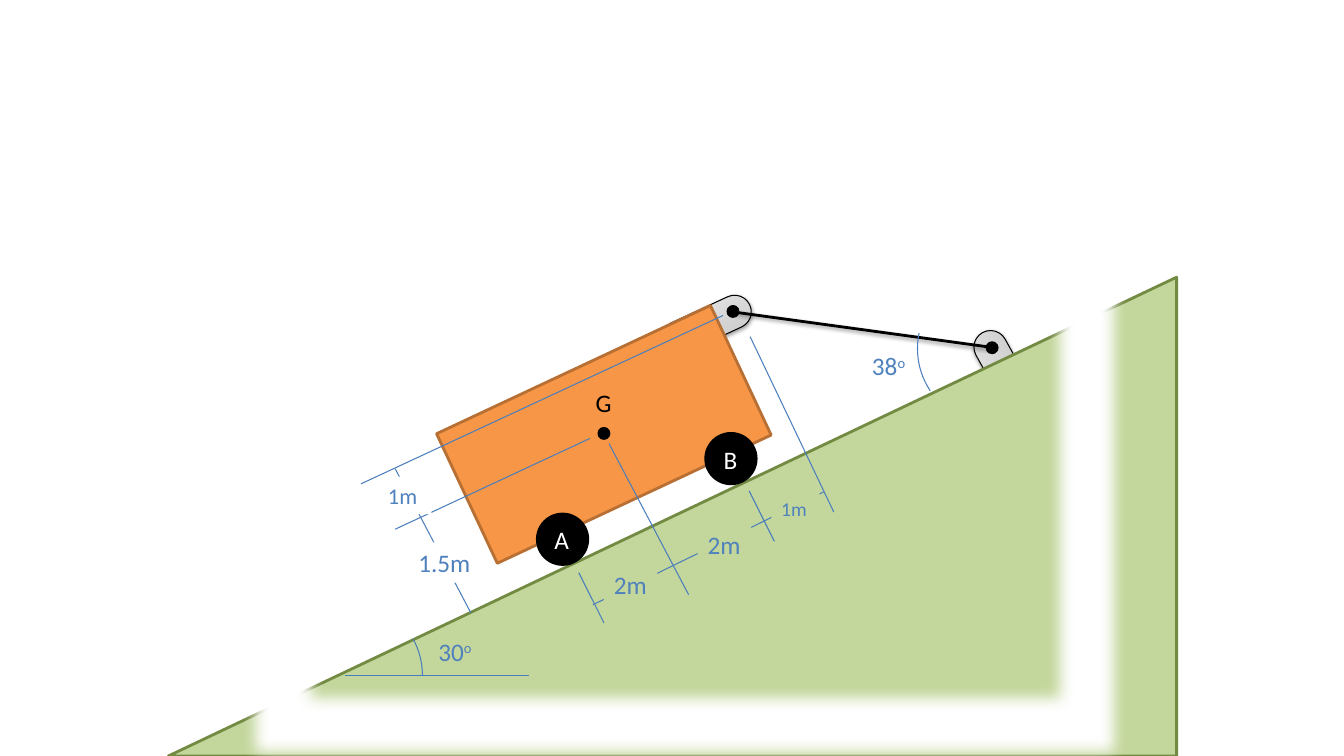
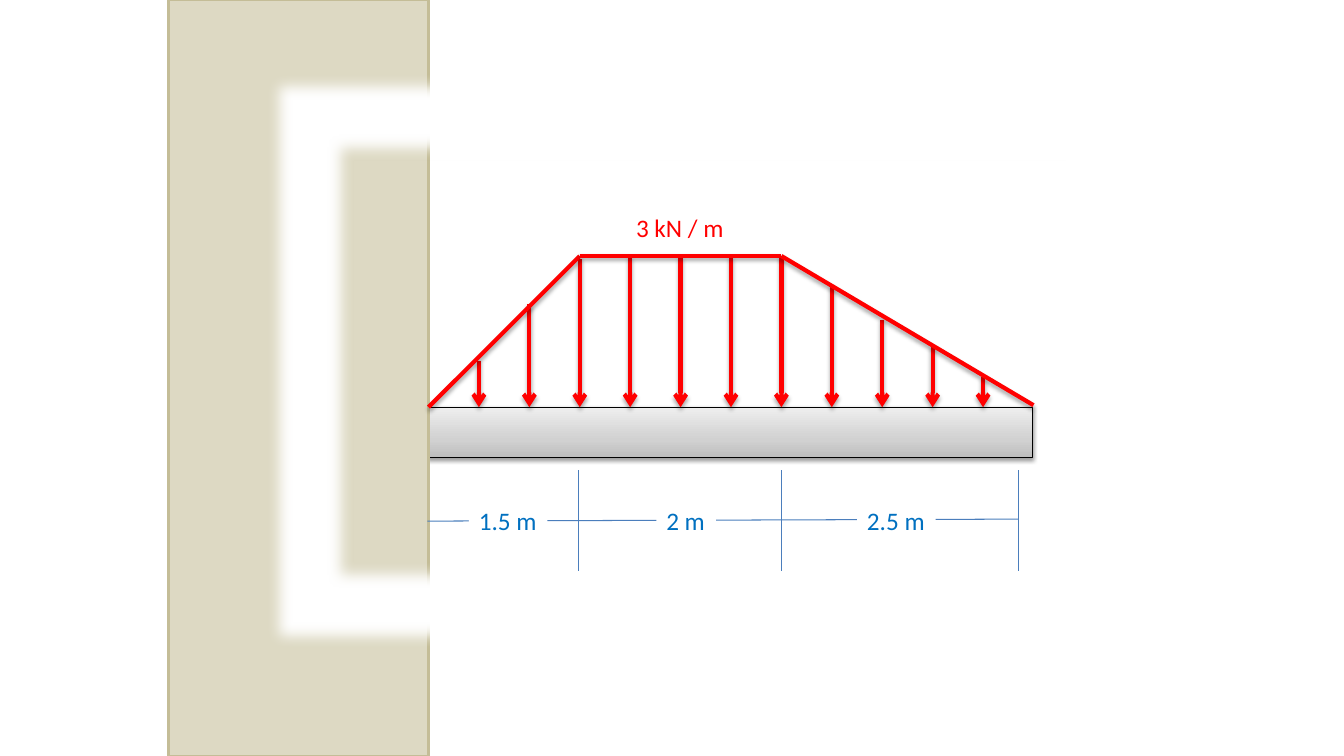
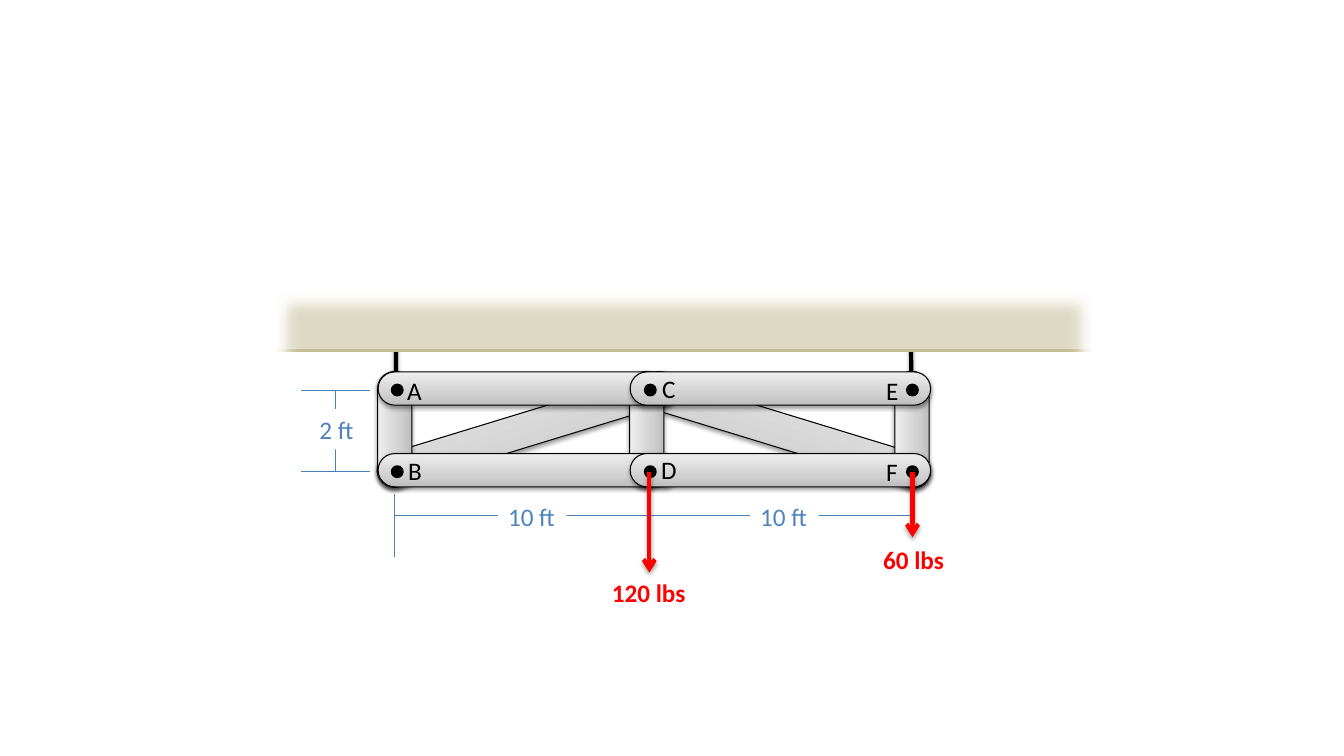
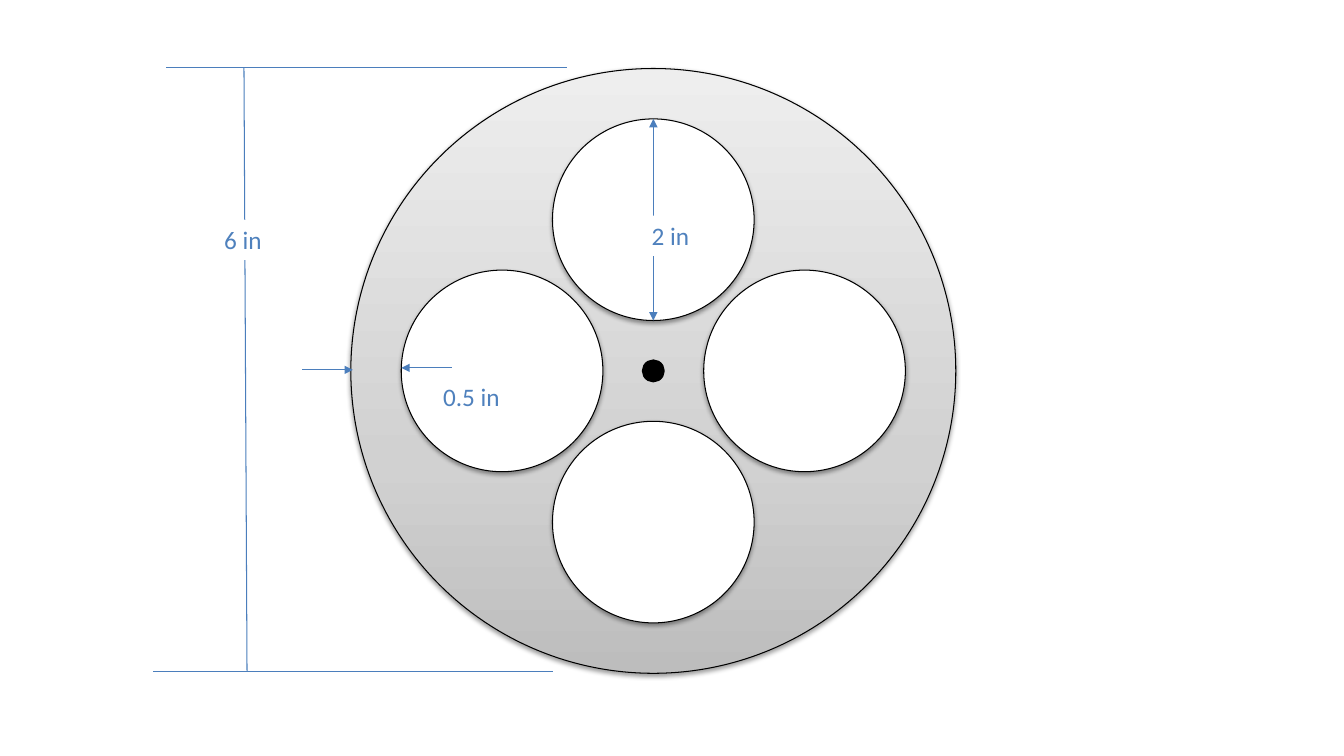
"""Draw four statics problem figures: cart on a slope, loaded beam, truss and disc."""
from copy import deepcopy

from lxml import etree
from pptx import Presentation
from pptx.dml.color import RGBColor
from pptx.enum.shapes import MSO_CONNECTOR, MSO_SHAPE
from pptx.enum.text import MSO_AUTO_SIZE, PP_ALIGN
from pptx.oxml.ns import qn
from pptx.util import Cm, Pt

RECT = MSO_SHAPE.RECTANGLE
ROUND = MSO_SHAPE.ROUNDED_RECTANGLE
OVAL = MSO_SHAPE.OVAL
TRIANGLE = MSO_SHAPE.RIGHT_TRIANGLE
ISOSCELES = MSO_SHAPE.ISOSCELES_TRIANGLE
FRAME = MSO_SHAPE.FRAME
ARC = MSO_SHAPE.ARC
STRAIGHT = MSO_CONNECTOR.STRAIGHT
LEFT = PP_ALIGN.LEFT
CENTER = PP_ALIGN.CENTER
FIT = MSO_AUTO_SIZE.SHAPE_TO_FIT_TEXT

BLACK = "000000"
WHITE = "FFFFFF"
RED = "FF0000"
DIM_LINE = "4B7EBC"
DIM_TEXT = "4F81BD"
BEAM_TEXT = "0070C0"
GRASS = "C3D69B"
GRASS_EDGE = "738A42"
WALL = "DDD9C3"
WALL_EDGE = "C4BD97"
CART = "F79646"
CART_EDGE = "B76F34"
STEEL = [(0, "BDBDBD"), (0.35, "D1D1D1"), (1, "EEEEEE")]

THIN = 0.75
EDGE = 2
BOLD = 3
SOFT_EDGE = Pt(10)
SHAPE_SHADOW = {"alpha": 38, "dist": 1.6}
FORCE_SHADOW = {"alpha": 35, "dist": 1.8}


def cm(inches):
    """Return a length in centimetres for a drawing measure in inches."""
    return Cm(inches * 2.54)


def rgb(value):
    """Return the colour of a hex string."""
    return RGBColor.from_string(value)


def add_effects(sp, shadow=None, soft=False):
    """Replace the theme effects with an optional drop shadow or soft edge."""
    effects = etree.SubElement(sp._element.spPr, qn("a:effectLst"))
    if shadow:
        drop = etree.SubElement(effects, qn("a:outerShdw"), blurRad=str(Pt(3.1)),
                                dist=str(Pt(shadow["dist"])), dir="5400000", rotWithShape="0")
        color = etree.SubElement(drop, qn("a:srgbClr"), val=BLACK)
        etree.SubElement(color, qn("a:alpha"), val=str(shadow["alpha"] * 1000))
    if soft:
        etree.SubElement(effects, qn("a:softEdge"), rad=str(SOFT_EDGE))


def fill_steel(sp):
    """Fill a shape with the grey metal gradient."""
    sp.fill.gradient()
    sp.fill.gradient_angle = 90
    stops = sp._element.spPr.find(".//" + qn("a:gsLst"))
    stops.append(deepcopy(stops[0]))
    for stop, (position, color) in zip(sp.fill.gradient_stops, STEEL):
        stop.position = position
        stop.color.rgb = rgb(color)


def add_shape(s, kind, box, fill, line, width=EDGE, rot=0, adj=(), shadow=None, soft=False):
    """Add a preset shape; fill is a hex string, STEEL or None."""
    sp = s.shapes.add_shape(kind, *map(cm, box))
    sp.rotation = rot
    for i, value in enumerate(adj):
        sp.adjustments[i] = value
    if fill is STEEL:
        fill_steel(sp)
    elif fill:
        sp.fill.solid()
        sp.fill.fore_color.rgb = rgb(fill)
    else:
        sp.fill.background()
    sp.line.color.rgb = rgb(line)
    sp.line.width = Pt(width)
    add_effects(sp, shadow, soft)


def add_bar(s, box, rot=0):
    """Add a round-ended metal bar."""
    add_shape(s, ROUND, box, STEEL, BLACK, THIN, rot, [0.5], SHAPE_SHADOW)


def add_disc(s, x, y, size):
    """Add a solid black disc."""
    add_shape(s, OVAL, (x, y, size, size), BLACK, BLACK)


def add_soft_frame(s, box, thickness):
    """Add a white frame that fades out the edges of the ground."""
    add_shape(s, FRAME, box, WHITE, WHITE, adj=[thickness], soft=True)


def add_arc(s, x, y, start, end):
    """Add an angle mark between two directions in degrees."""
    add_shape(s, ARC, (x, y, 1.5, 1.5), None, DIM_LINE, THIN, adj=[start * 0.6, end * 0.6])


def add_line(s, ends, color=DIM_LINE, width=THIN, head=None, tail=None, shadow=None):
    """Add a straight line with optional arrowheads."""
    sp = s.shapes.add_connector(STRAIGHT, *map(cm, ends))
    sp.line.color.rgb = rgb(color)
    sp.line.width = Pt(width)
    for tag, kind in (("a:headEnd", head), ("a:tailEnd", tail)):
        if kind:
            etree.SubElement(sp.line._get_or_add_ln(), qn(tag), type=kind)
    add_effects(sp, shadow)


def add_force(s, ends, tail="arrow"):
    """Add a thick red load line, an arrow by default."""
    add_line(s, ends, RED, BOLD, tail=tail, shadow=FORCE_SHADOW)


def add_label(s, text, box, color=DIM_TEXT, fill=None, size=18, bold=None, wrap=False,
              align=LEFT, raised=""):
    """Add a one-line label with an optional raised ending."""
    sp = s.shapes.add_textbox(*map(cm, box))
    if fill:
        sp.fill.solid()
        sp.fill.fore_color.rgb = rgb(fill)
    tf = sp.text_frame
    tf.word_wrap = wrap
    tf.auto_size = FIT
    p = tf.paragraphs[0]
    p.alignment = align
    font_format = {"name": "Calibri", "size": Pt(size), "bold": bold}
    for part in filter(None, (text, raised)):
        r = p.add_run()
        r.text = part
        for name, value in font_format.items():
            setattr(r.font, name, value)
        r.font.color.rgb = rgb(color)
        if part == raised:
            r._r.get_or_add_rPr().set("baseline", "30000")


def draw_cart(prs):
    """Draw the cart held by a cable on a slope."""
    s = prs.slides.add_slide(prs.slide_layouts[6])
    add_bar(s, (6.53, 3.06, 0.95, 0.33), 335.1)
    add_bar(s, (9.5, 3.55, 0.95, 0.33), 241)
    add_shape(s, ISOSCELES, (1.67, 2.75, 10, 4.75), GRASS, GRASS_EDGE, adj=[1])
    add_shape(s, RECT, (4.49, 3.6, 3, 1.42), CART, CART_EDGE, rot=334.9)
    for x, y in ((5.33, 5.1), (7, 4.3)):
        add_disc(s, x, y, 0.5)
    add_line(s, (7.31, 3.1, 9.79, 3.44), BLACK, EDGE, shadow=SHAPE_SHADOW)
    for x, y in ((5.94, 4.25), (9.79, 3.4), (7.22, 3.04)):
        add_disc(s, x, y, 0.1)
    add_label(s, "G", (5.81, 3.79, 0.36, 0.4), BLACK)

    add_arc(s, 9.1, 2.71, 146.14, 191.94)
    add_label(s, "38", (8.55, 3.43, 0.55, 0.4), raised="o")
    for ends in ((5.74, 5.68, 5.99, 6.18), (7.43, 4.87, 7.68, 5.37), (7.44, 3.34, 8.27, 5.08),
                 (6.04, 4.4, 6.83, 5.9), (8.17, 4.88, 5.88, 6)):
        add_line(s, ends)
    for x, y in ((5.99, 5.6), (6.92, 5.2)):
        add_label(s, "2m", (x, y, 0.53, 0.4), fill=GRASS)
    add_label(s, "1m", (7.65, 4.88, 0.48, 0.34), fill=GRASS, size=14, wrap=True)

    add_line(s, (3.42, 6.7, 5.25, 6.7))
    add_arc(s, 2.69, 5.95, 331.33, 359.97)
    add_label(s, "30", (4.25, 6.26, 0.55, 0.4), raised="o")
    add_line(s, (5.85, 4.35, 3.92, 5.25))
    add_line(s, (3.92, 4.65, 4.67, 6.08))
    add_label(s, "1.5m", (4.05, 5.38, 0.72, 0.4), fill=WHITE)
    add_soft_frame(s, (2.42, 1, 8.75, 6.58), 0.118)
    add_line(s, (7.17, 3.13, 3.58, 4.8))
    add_label(s, "1m", (3.75, 4.73, 0.53, 0.37), fill=WHITE, size=16, wrap=True)
    add_label(s, "A", (5.4, 5.15, 0.35, 0.4), WHITE)
    add_label(s, "B", (7.08, 4.36, 0.34, 0.4), WHITE)


def draw_beam(prs):
    """Draw the wall-mounted beam under a distributed load."""
    s = prs.slides.add_slide(prs.slide_layouts[6])
    add_shape(s, RECT, (4.24, 4.04, 6, 0.5), STEEL, BLACK, THIN, shadow=SHAPE_SHADOW)
    add_shape(s, RECT, (1.67, 0, 2.58, 7.5), WALL, WALL_EDGE)
    add_soft_frame(s, (2.67, 0.75, 8.75, 5.67), 0.146)

    arrow_tops = (3.58, 3.02, 2.57, 2.54, 2.54, 2.54, 2.54, 2.83, 3.17, 3.43, 3.74)
    for i, top in enumerate(arrow_tops):
        x = 4.75 + 0.5 * i
        add_force(s, (x, top, x, 4.04))
    for ends in ((5.75, 2.54, 4.25, 4.04), (5.75, 2.54, 7.75, 2.54), (7.75, 2.54, 10.25, 4.02)):
        add_force(s, ends, tail=None)
    add_label(s, "3 kN / m", (6.21, 2.06, 1.08, 0.4), RED)

    add_line(s, (4.24, 5.17, 10.1, 5.15))
    for x in (5.74, 7.75, 10.1):
        add_line(s, (x, 5.66, x, 4.66))
    for text, x, w in (("1.5 m", 4.65, 0.78), ("2 m", 6.51, 0.59), ("2.5 m", 8.5, 0.78)):
        add_label(s, text, (x, 4.96, w, 0.4), BEAM_TEXT, WHITE)


def draw_truss(prs):
    """Draw the hanging truss with its two loads."""
    s = prs.slides.add_slide(prs.slide_layouts[6])
    for ends in ((9.03, 2.87, 9.04, 3.87), (3.92, 2.82, 3.93, 3.82)):
        add_line(s, ends, BLACK, BOLD, shadow=FORCE_SHADOW)
    add_line(s, (3.92, 5.11, 9.06, 5.11))
    add_bar(s, (6.2, 4.1, 3.09, 0.34), 17)
    add_bar(s, (3.68, 4.09, 3.09, 0.34), 343)
    for x in (5.84, 8.47, 3.34):
        add_bar(s, (x, 4.09, 1.15, 0.34), 270)
    add_shape(s, RECT, (2.42, 2.47, 8.58, 1.01), WALL, WALL_EDGE)
    add_soft_frame(s, (2, 2.17, 9.58, 7), 0.137)
    for x in (3.75, 6.25):
        for y in (4.5, 3.69):
            add_bar(s, (x, y, 2.98, 0.33))

    for x in (3.89, 6.4, 9):
        for y in (3.82, 4.63):
            add_disc(s, x, y, 0.1)
    for name, x, y in (("A", 3.94, 3.67), ("B", 3.95, 4.47), ("C", 6.47, 3.65),
                       ("D", 6.46, 4.46), ("E", 8.69, 3.67), ("F", 8.69, 4.48)):
        add_label(s, name, (x, y, 0.34, 0.4), BLACK)

    add_line(s, (3.91, 4.9, 3.91, 5.53))
    for x in (4.94, 7.44):
        add_label(s, "10 ft", (x, 4.92, 0.68, 0.4), fill=WHITE)
    for y in (4.68, 3.87):
        add_line(s, (3.67, y, 2.99, y))
    add_line(s, (3.33, 4.68, 3.33, 3.87))
    add_label(s, "2 ft", (3.07, 4.06, 0.55, 0.4), fill=WHITE)

    add_force(s, (6.44, 4.68, 6.44, 5.68))
    add_force(s, (9.05, 4.68, 9.05, 5.33))
    add_label(s, "120 lbs", (5.97, 5.68, 0.94, 0.4), RED, bold=True)
    add_label(s, "60 lbs", (8.66, 5.35, 0.81, 0.4), RED, bold=True)


def draw_disc(prs):
    """Draw the disc with four round holes."""
    s = prs.slides.add_slide(prs.slide_layouts[6])
    add_shape(s, OVAL, (3.48, 0.68, 6, 6), STEEL, BLACK, THIN, shadow=SHAPE_SHADOW)
    for dx, dy in ((-1.5, 0), (1.5, 0), (0, -1.5), (0, 1.5)):
        add_shape(s, OVAL, (5.48 + dx, 2.68 + dy, 2, 2), WHITE, BLACK, THIN, shadow=SHAPE_SHADOW)
    add_disc(s, 6.38, 3.58, 0.2)

    for ends in ((1.65, 0.67, 5.62, 0.67), (1.52, 6.66, 5.48, 6.66), (2.42, 0.67, 2.45, 6.66)):
        add_line(s, ends)
    add_line(s, (6.48, 1.18, 6.48, 3.18), head="triangle", tail="triangle")
    for ends in ((3, 3.67, 3.5, 3.67), (4.48, 3.65, 3.98, 3.65)):
        add_line(s, ends, tail="triangle")
    for text, x, y, w in (("6 in", 2.08, 2.18, 0.66), ("0.5 in", 4.23, 3.73, 0.89),
                          ("2 in", 6.32, 2.14, 0.66)):
        add_label(s, text, (x, y, w, 0.4), fill=WHITE, wrap=True, align=CENTER)


def main():
    """Build and save the presentation."""
    prs = Presentation()
    prs.slide_width = cm(13.33)
    prs.slide_height = cm(7.5)
    for draw in (draw_cart, draw_beam, draw_truss, draw_disc):
        draw(prs)
    prs.save("out.pptx")


if __name__ == "__main__":
    main()
